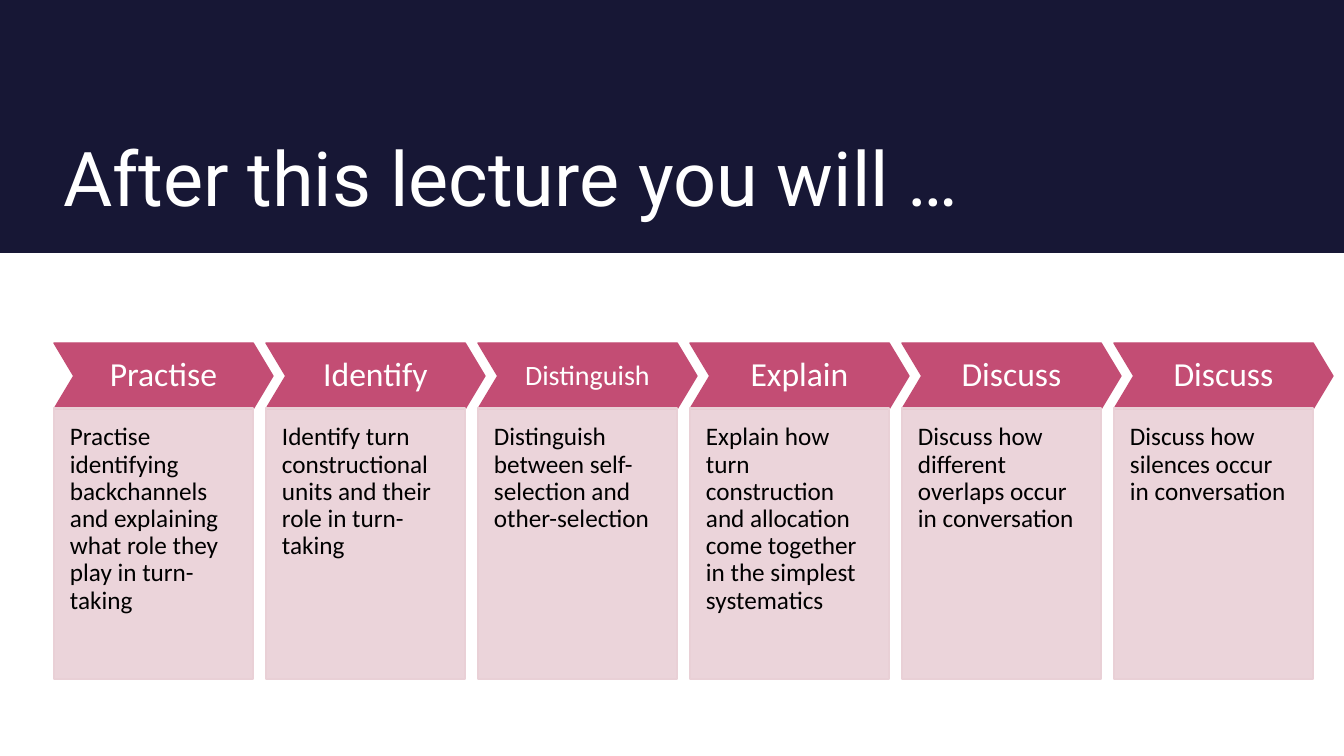
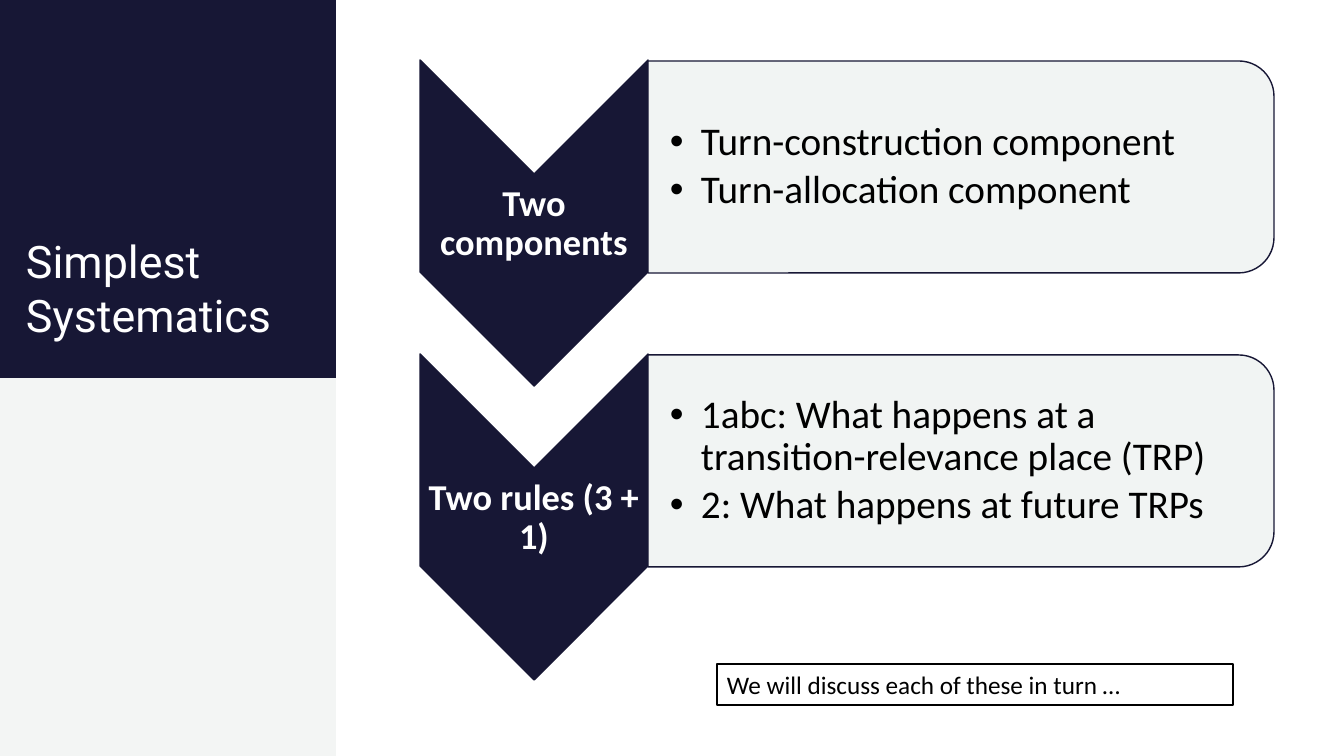
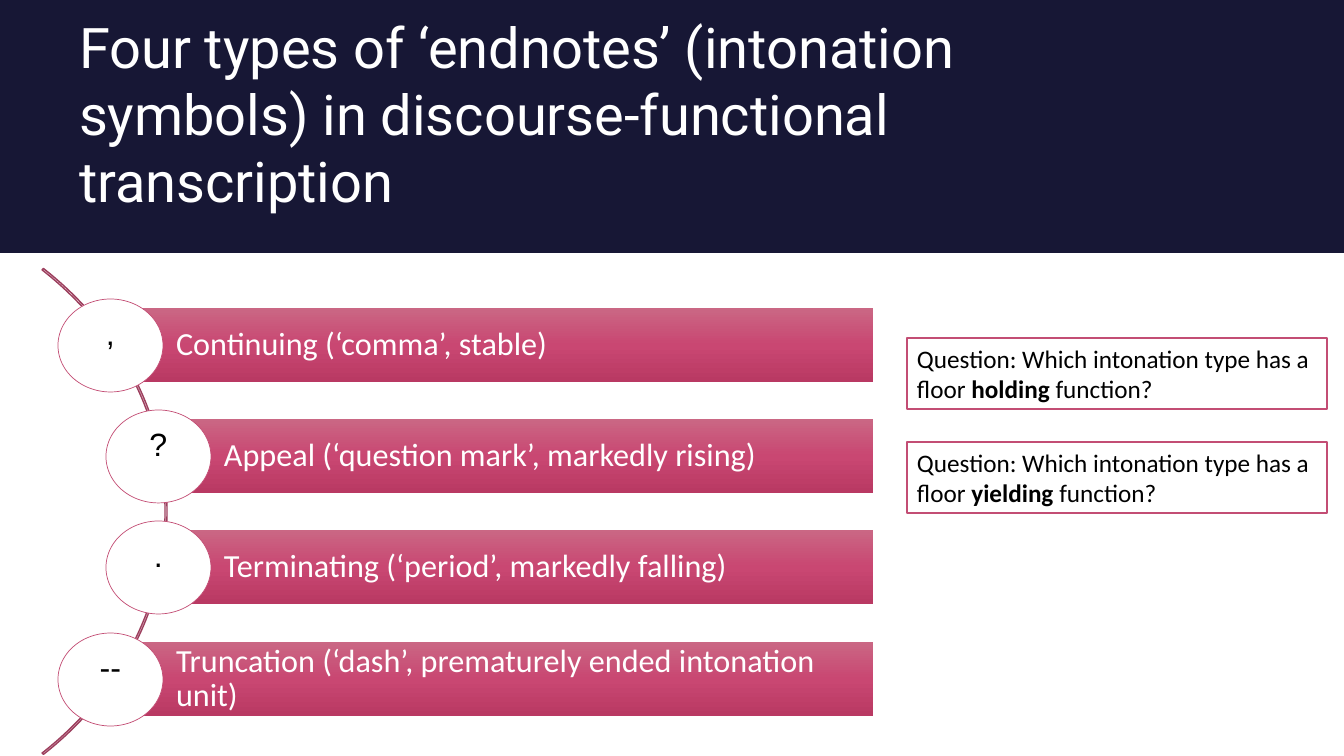
import dataclasses

import lxml.etree
import pptx
import pptx.dml.color
import pptx.enum.shapes
import pptx.enum.text
import pptx.oxml.ns
import pptx.util

MSO = pptx.enum.shapes.MSO_SHAPE
ANCHOR = pptx.enum.text.MSO_ANCHOR
ALIGN = pptx.enum.text.PP_ALIGN
qn = pptx.oxml.ns.qn

W, H = 1344, 756
SCALE = 12192000 / W


@dataclasses.dataclass(frozen=True)
class Theme:
    navy: str = "171735"
    pink: str = "C34D74"
    blush: str = "E9D0D6"
    mist: str = "F0F3F2"
    arc: str = "9C3E5D"
    white: str = "FFFFFF"
    black: str = "000000"
    gradient: tuple = ((0, "CA6784"), (50, "C94772"), (100, "B93963"))
    head: str = "Roboto"
    body: str = "Calibri"
    symbol: str = "Arial"
    title: int = 54
    title_long: int = 40
    title_side: int = 32
    bullet: int = 28
    label: int = 26
    step: int = 24
    step_long: int = 20
    row: int = 23
    note: int = 18


T = Theme()


def px(n):
    return pptx.util.Emu(round(n * SCALE))


def rgb(color):
    return pptx.dml.color.RGBColor.from_string(color)


def apply(obj, values):
    for name, value in values.items():
        setattr(obj, name, value)


def place(sp, box):
    apply(sp, dict(zip(("left", "top", "width", "height"), map(px, box))))


def shape(slide, kind, box, fill=None, line=None, weight=1, opacity=100, turn=0):
    x, y, w, h = box
    if turn:
        x, y, w, h = x + (w - h) / 2, y + (h - w) / 2, h, w
    sp = slide.shapes.add_shape(kind, *map(px, (x, y, w, h)))
    sp.shadow.inherit = False
    sp.rotation = turn
    if fill:
        sp.fill.solid()
        sp.fill.fore_color.rgb = rgb(fill)
        if opacity < 100:
            clr = next(sp.element.spPr.iter(qn("a:srgbClr")))
            lxml.etree.SubElement(clr, qn("a:alpha"), val=str(opacity * 1000))
    else:
        sp.fill.background()
    if line:
        sp.line.color.rgb = rgb(line)
        sp.line.width = pptx.util.Pt(weight)
    else:
        sp.line.fill.background()
    return sp


def shade(sp):
    sp.fill.gradient()
    sp.fill.gradient_angle = 270
    stops = next(sp.element.spPr.iter(qn("a:gsLst")))
    for stop in list(stops):
        stops.remove(stop)
    for pos, color in T.gradient:
        stop = lxml.etree.SubElement(stops, qn("a:gs"), pos=str(pos * 1000))
        lxml.etree.SubElement(stop, qn("a:srgbClr"), val=color)


def write(sp, paragraphs, size, color=T.black, font=T.body, bold=False,
          anchor=ANCHOR.TOP, align=ALIGN.LEFT, spacing=1.0, after=0,
          insets=(10, 5, 10, 5), bullet=False):
    tf = sp.text_frame
    apply(tf, {"word_wrap": True, "auto_size": pptx.enum.text.MSO_AUTO_SIZE.NONE,
               "vertical_anchor": anchor})
    sides = ("margin_left", "margin_top", "margin_right", "margin_bottom")
    apply(tf, dict(zip(sides, map(px, insets))))
    for i, runs in enumerate(paragraphs):
        p = tf.add_paragraph() if i else tf.paragraphs[0]
        apply(p, {"alignment": align, "line_spacing": spacing,
                  "space_before": pptx.util.Pt(0), "space_after": pptx.util.Pt(after)})
        if bullet:
            pPr = p._p.get_or_add_pPr()
            pPr.set("marL", str(px(31)))
            pPr.set("indent", str(-px(31)))
            lxml.etree.SubElement(pPr, qn("a:buChar"), char="•")
        for j, text in enumerate(runs):
            r = p.add_run()
            r.text = text
            apply(r.font, {"name": font, "size": pptx.util.Pt(size),
                           "bold": bold or j % 2 == 1})
            r.font.color.rgb = rgb(color)


def raise_placeholder(slide, ph, box):
    place(ph, box)
    slide.shapes.element.append(ph.element)


def title(slide, box, text, size):
    raise_placeholder(slide, slide.shapes.title, box)
    write(slide.shapes.title, [[text]], size, T.white, T.head, anchor=ANCHOR.BOTTOM)


def band(layout, slide):
    sp = shape(slide, MSO.RECTANGLE, (0, 0, W, 253), T.navy)
    sp.element.nvSpPr.cNvPr.set("id", "20")
    layout.shapes.element.insert(2, sp.element)


def note(slide, box, runs, line):
    sp = shape(slide, MSO.RECTANGLE, box, T.white, line)
    write(sp, [runs], T.note)


def step(slide, box, head, size, text):
    x, y, w, h = box
    sp = shape(slide, MSO.CHEVRON, (x, y, w + 20, 66), T.pink, T.pink)
    sp.adjustments[0] = 0.3
    write(sp, [[head]], size, T.white, anchor=ANCHOR.MIDDLE, align=ALIGN.CENTER,
          spacing=0.9, insets=(8, 8, 8, 8))
    sp = shape(slide, MSO.RECTANGLE, (x, y + 65, w, h - 65), T.blush, T.blush, opacity=90)
    write(sp, [[text]], T.note, spacing=0.9, insets=(16, 16, 16, 31))


def goals_slide(slide):
    title(slide, (53, 40, 1199, 187), "After this lecture you will …", T.title)
    steps = [
        ("Practise", T.step, "Practise identifying backchannels and explaining what role they play in turn-taking"),
        ("Identify", T.step, "Identify turn constructional units and their role in turn-taking"),
        ("Distinguish", T.step_long, "Distinguish between self-selection and other-selection"),
        ("Explain", T.step, "Explain how turn construction and allocation come together in the simplest systematics"),
        ("Discuss", T.step, "Discuss how different overlaps occur in conversation"),
        ("Discuss", T.step, "Discuss how silences occur in conversation"),
    ]
    for i, content in enumerate(steps):
        step(slide, (54 + 212 * i, 343, 199, 336), *content)


def sidebar(slide, box, text):
    x, y, w, h = box
    lower = (x, y + h // 2, w, h // 2)
    shape(slide, MSO.RECTANGLE, box, T.navy)
    shape(slide, MSO.RECTANGLE, lower, T.mist)
    shape(slide, MSO.RECTANGLE, lower, T.white, opacity=20)
    title(slide, (x + 16, y + 40, w - 40, 306), text, T.title_side)


def component(slide, ph, box, label, points):
    x, y, w, h = box
    arrow_w = 228
    shape(slide, MSO.CHEVRON, (x, y, arrow_w, h), T.navy, T.navy, turn=90)
    sp = slide.shapes.add_textbox(*map(px, (x, y + 115, arrow_w, 98)))
    write(sp, [[label]], T.label, T.white, bold=True, anchor=ANCHOR.MIDDLE,
          align=ALIGN.CENTER, spacing=0.9, insets=(2, 2, 2, 2))
    shape(slide, MSO.ROUND_2_SAME_RECTANGLE, (x + arrow_w, y + 1, w - arrow_w, 212),
          T.mist, T.navy, opacity=90, turn=90)
    raise_placeholder(slide, ph, (x + arrow_w, y + 12, w - arrow_w - 10, 190))
    write(ph, [[text] for text in points], T.bullet, anchor=ANCHOR.MIDDLE,
          spacing=0.9, after=4, insets=(22, 2, 2, 2), bullet=True)


def systematics_slide(slide):
    sidebar(slide, (0, 0, 336, H), "Simplest Systematics")
    components = [
        ("Two components", ["Turn-construction component", "Turn-allocation component"]),
        ("Two rules (3 + 1)", ["1abc: What happens at a transition-relevance place (TRP)",
                               "2: What happens at future TRPs"]),
    ]
    lists = [ph for ph in slide.placeholders if ph.placeholder_format.idx]
    for i, (ph, content) in enumerate(zip(lists, components)):
        component(slide, ph, (420, 60 + 294 * i, 854, 326), *content)
    note(slide, (717, 664, 516, 41), ["We will discuss each of these in turn …"], T.black)


def endnote(slide, box, symbol, text):
    x, y, w, h = box
    sp = shape(slide, MSO.RECTANGLE, box, T.pink)
    shade(sp)
    write(sp, [[text]], T.row, T.white, anchor=ANCHOR.MIDDLE, spacing=0.9,
          insets=(65, 6, 6, 6))
    sp = shape(slide, MSO.OVAL, (x - 53, y - 9, 105, h + 19), T.white, T.pink, 0.5)
    write(sp, [[symbol]], T.row, font=T.symbol, align=ALIGN.CENTER, spacing=0.9, after=6)


def endnotes_slide(slide):
    title(slide, (69, 58, 1109, 161),
          "Four types of ‘endnotes’ (intonation symbols) in discourse-functional transcription",
          T.title_long)
    arc = shape(slide, MSO.BLOCK_ARC, (-566, 187, 733, 649), line=T.arc)
    for i, value in enumerate((189, 27, 0.003)):
        arc.adjustments[i] = value
    rows = [
        (111, ",", "Continuing (‘comma’, stable)"),
        (159, "?", "Appeal (‘question mark’, markedly rising)"),
        (159, ".", "Terminating (‘period’, markedly falling)"),
        (111, "--", "Truncation (‘dash’, prematurely ended intonation unit)"),
    ]
    for i, (x, symbol, text) in enumerate(rows):
        endnote(slide, (x, 308 + 334 * i // 3, 873 - x, 74), symbol, text)
    for i, word in enumerate(("holding", "yielding")):
        note(slide, (907, 338 + 104 * i, 420, 71),
             ["Question: Which intonation type has a floor ", word, " function?"], T.pink)


def main():
    prs = pptx.Presentation()
    prs.slide_width, prs.slide_height = px(W), px(H)
    banded, two_lists = prs.slide_layouts[5], prs.slide_layouts[3]
    pages = [(banded, goals_slide), (two_lists, systematics_slide), (banded, endnotes_slide)]
    for i, (layout, build) in enumerate(pages):
        slide = prs.slides.add_slide(layout)
        if i == 0:
            band(layout, slide)
        build(slide)
    prs.save("out.pptx")


if __name__ == "__main__":
    main()
